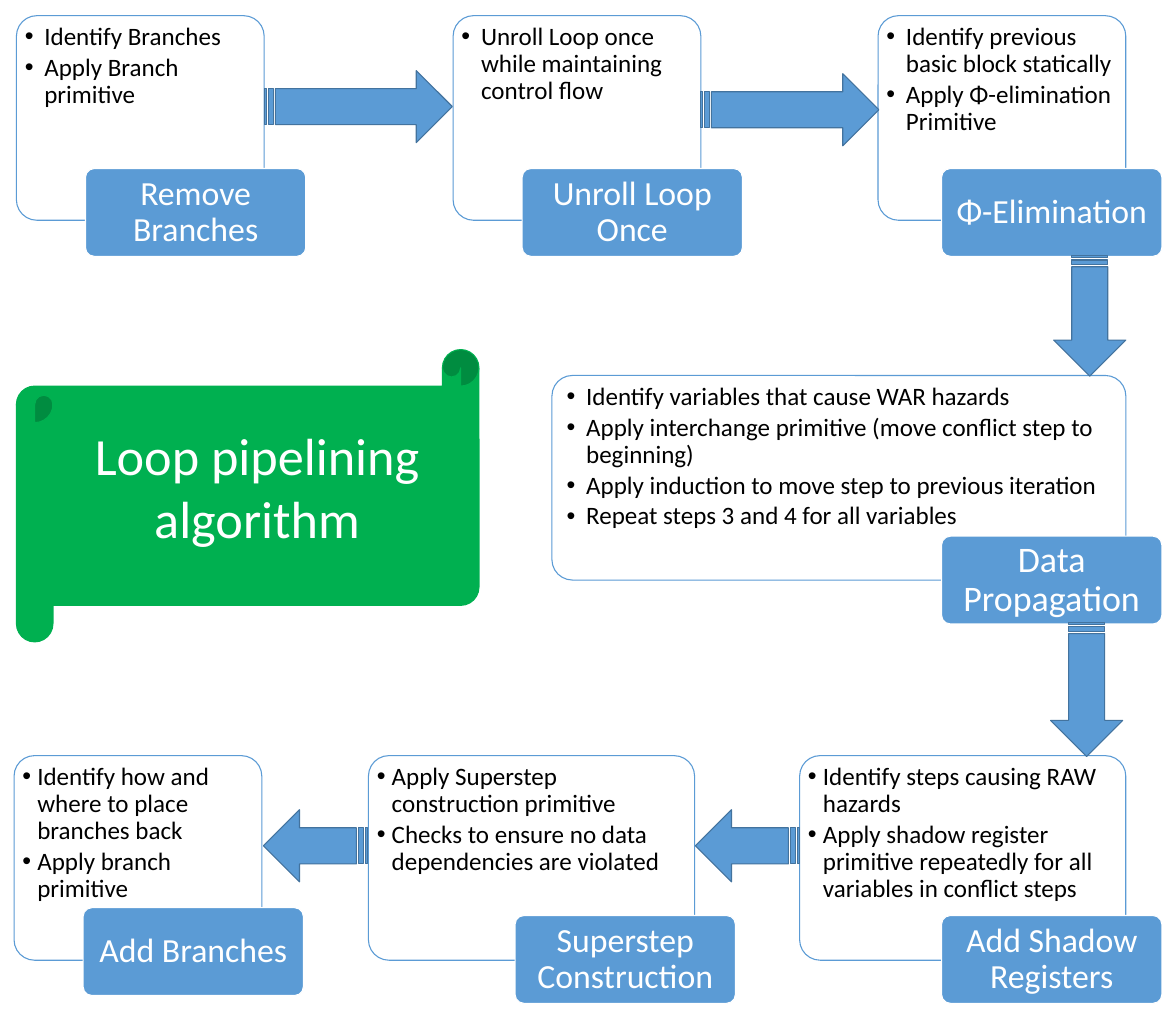
from math import atan2, degrees, hypot

from lxml import etree
from pptx import Presentation
from pptx.dml.color import RGBColor
from pptx.enum.shapes import MSO_SHAPE
from pptx.enum.text import MSO_ANCHOR, MSO_AUTO_SIZE, PP_ALIGN
from pptx.oxml.ns import qn
from pptx.util import Inches, Pt

ROUNDED = MSO_SHAPE.ROUNDED_RECTANGLE
STRIPED_ARROW = MSO_SHAPE.STRIPED_RIGHT_ARROW
SCROLL = MSO_SHAPE.HORIZONTAL_SCROLL
TOP, MIDDLE = MSO_ANCHOR.TOP, MSO_ANCHOR.MIDDLE
LEFT, CENTER = PP_ALIGN.LEFT, PP_ALIGN.CENTER
NO_FIT = MSO_AUTO_SIZE.NONE

WIDTH, HEIGHT = Inches(15), Inches(13)
COLUMN, ROW = WIDTH / 15, HEIGHT / 13
BLUE, EDGE, GREEN, WHITE, BLACK = "5B9BD5", "43739E", "00B050", "FFFFFF", "000000"
FONT = "Calibri"

TOP_ROW, MIDDLE_ROW, BOTTOM_ROW = 0.2, 4.79, 9.64
NARROW, MEDIUM, WIDE = 3.16, 4.16, 7.32
BOX_HEIGHT, LABEL_WIDTH, LABEL_HEIGHT = 2.61, 2.81, 1.12
ARROW_THICKNESS = 0.92

STEPS = [
    {"label": "Remove Branches", "box": (0.21, TOP_ROW, NARROW), "label_at": (1.09, 2.15),
     "points": ["Identify Branches", "Apply Branch primitive"]},
    {"label": "Add Shadow Registers", "box": (10.2, BOTTOM_ROW, MEDIUM),
     "label_at": (12.01, 11.68), "indent": 0.19,
     "points": ["Identify steps causing RAW hazards",
                "Apply shadow register primitive repeatedly for all variables in conflict steps"]},
    {"label": "Data Propagation", "box": (7.04, MIDDLE_ROW, WIDE),
     "label_at": (12.01, 6.84), "label_size": 33, "side": 0.11,
     "points": ["Identify variables that cause WAR hazards",
                "Apply interchange primitive (move conflict step to beginning)",
                "Apply induction to move step to previous iteration",
                "Repeat steps 3 and 4 for all variables"]},
    {"label": "Unroll Loop Once", "box": (5.78, TOP_ROW, NARROW), "label_at": (6.66, 2.15),
     "points": ["Unroll Loop once while maintaining control flow"]},
    {"label": "Φ-Elimination", "box": (11.2, TOP_ROW, NARROW), "label_at": (12.01, 2.15),
     "points": ["Identify previous basic block statically", "Apply Φ-elimination Primitive"]},
    {"label": "Add Branches", "box": (0.18, BOTTOM_ROW, NARROW),
     "label_at": (1.06, 11.58), "indent": 0.19,
     "points": ["Identify how and where to place branches back", "Apply branch primitive"]},
    {"label": "Superstep Construction", "box": (4.7, BOTTOM_ROW, MEDIUM),
     "label_at": (6.57, 11.68), "indent": 0.19,
     "points": ["Apply Superstep construction primitive",
                "Checks to ensure no data dependencies are violated"]},
]

ARROWS = [
    ((3.37, 1.36), (5.77, 1.36)),
    ((8.93, 1.4), (11.21, 1.4)),
    ((13.9, 3.26), (13.9, 4.8)),
    ((13.86, 7.94), (13.86, 9.65)),
    ((10.2, 10.79), (8.87, 10.79)),
    ((4.69, 10.79), (3.36, 10.79)),
]


def color(value):
    return RGBColor.from_string(value)


def place(left, top, width, height):
    return round(left * COLUMN), round(top * ROW), round(width * COLUMN), round(height * ROW)


def add_box(page, preset, area, fill, line):
    box = page.shapes.add_shape(preset, *place(*area))
    box.shadow.inherit = False
    box.fill.solid()
    box.fill.fore_color.rgb = color(fill)
    box.line.color.rgb = color(line)
    box.line.width = Pt(1)
    return box


def add_bullet(para, indent):
    properties = para._p.get_or_add_pPr()
    properties.set("marL", str(Inches(indent)))
    properties.set("indent", str(-Inches(indent)))
    etree.SubElement(properties, qn("a:buFont"), typeface="Arial")
    etree.SubElement(properties, qn("a:buChar"), char="•")


def write(shape, lines, size, ink=WHITE, anchor=MIDDLE, align=CENTER,
          spacing=0.9, after=0, indent=0, margins=(0.07, 0.05)):
    frame = shape.text_frame
    frame.word_wrap = True
    frame.auto_size = NO_FIT
    frame.vertical_anchor = anchor
    frame.margin_left = frame.margin_right = Inches(margins[0])
    frame.margin_top = frame.margin_bottom = Inches(margins[1])
    for number, line in enumerate(lines):
        para = frame.add_paragraph() if number else frame.paragraphs[0]
        if indent:
            add_bullet(para, indent)
        para.alignment = align
        para.line_spacing = spacing
        para.space_after = Pt(after)
        span = para.add_run()
        span.text = line
        span.font.name = FONT
        span.font.size = Pt(size)
        span.font.color.rgb = color(ink)


def add_step(page, step):
    box = add_box(page, ROUNDED, (*step["box"], BOX_HEIGHT), WHITE, BLUE)
    box.adjustments[0] = 0.1
    write(box, step["points"], 23, ink=BLACK, anchor=TOP, align=LEFT, after=3.5,
          indent=step.get("indent", 0.25), margins=(step.get("side", 0.03), 0.03))
    label = add_box(page, ROUNDED, (*step["label_at"], LABEL_WIDTH, LABEL_HEIGHT), BLUE, WHITE)
    label.adjustments[0] = 0.1
    write(label, [step["label"]], step.get("label_size", 31))


def add_arrow(page, start, end):
    across, down = end[0] - start[0], end[1] - start[1]
    length = hypot(across, down)
    left = (start[0] + end[0] - length) / 2
    top = (start[1] + end[1] - ARROW_THICKNESS) / 2
    arrow = add_box(page, STRIPED_ARROW, (left, top, length, ARROW_THICKNESS), BLUE, EDGE)
    arrow.rotation = degrees(atan2(down, across))


def add_title(page, text):
    add_box(page, SCROLL, (0.21, 4.46, 5.9, 3.73), GREEN, GREEN)
    title = page.shapes.title
    title.left, title.top, title.width, title.height = place(0.68, 5.3, 5.2, 1.8)
    write(title, [text], 48, spacing=1, margins=(0.1, 0.05))
    page.shapes._spTree.append(title._element)


def main():
    deck = Presentation()
    deck.slide_width, deck.slide_height = WIDTH, HEIGHT
    page = deck.slides.add_slide(deck.slide_layouts[5])
    for step in STEPS:
        add_step(page, step)
    for start, end in ARROWS:
        add_arrow(page, start, end)
    add_title(page, "Loop pipelining algorithm")
    deck.save("out.pptx")


if __name__ == "__main__":
    main()
